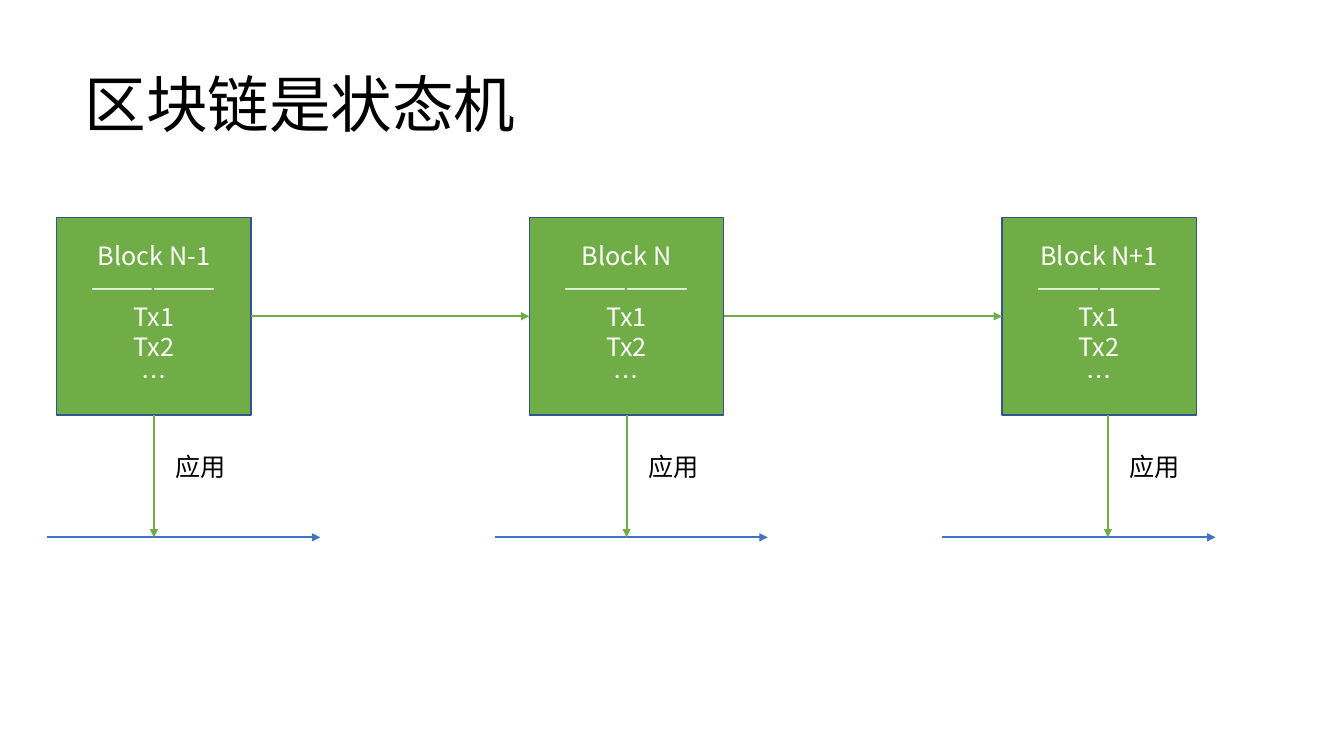
from lxml import etree
from pptx import Presentation
from pptx.dml.color import RGBColor
from pptx.enum.shapes import MSO_CONNECTOR, MSO_SHAPE
from pptx.enum.text import MSO_ANCHOR, PP_ALIGN
from pptx.oxml.ns import qn
from pptx.util import Cm, Pt

STRAIGHT = MSO_CONNECTOR.STRAIGHT
RECTANGLE = MSO_SHAPE.RECTANGLE
MIDDLE = MSO_ANCHOR.MIDDLE
LEFT, CENTER = PP_ALIGN.LEFT, PP_ALIGN.CENTER
SIDE_LEFT, SIDE_BOTTOM, SIDE_RIGHT = 1, 2, 3

BLACK = RGBColor(0x00, 0x00, 0x00)
WHITE = RGBColor(0xFF, 0xFF, 0xFF)
GREEN = RGBColor(0x70, 0xAD, 0x47)
BLUE = RGBColor(0x44, 0x72, 0xC4)
BLOCK_EDGE = RGBColor(0x32, 0x54, 0x91)
FONT = "Noto Sans CJK SC"

BLOCK_WIDTH, BLOCK_HEIGHT, BLOCK_PITCH = 4.9, 4.98, 11.91
STATE_WIDTH, STATE_PITCH = 6.88, 11.28
# Block name and how far its "apply" arrow stands right of the block's middle
BLOCKS = [("Block N-1", 0), ("Block N", 0), ("Block N+1", 0.22)]


def write_lines(shape, lines, size, color, alignment):
    shape.text_frame.text = "\n".join(lines)
    for paragraph in shape.text_frame.paragraphs:
        paragraph.alignment = alignment
        paragraph.font.size = Pt(size)
        paragraph.font.name = FONT
        paragraph.font.color.rgb = color
        properties = paragraph._p.pPr.find(qn("a:defRPr"))
        etree.SubElement(properties, qn("a:ea"), typeface=FONT)


def add_arrow(slide, start, end, color):
    """Draw an arrow between two (x, y) points given in centimetres."""
    arrow = slide.shapes.add_connector(STRAIGHT, *map(Cm, start + end))
    arrow.line.color.rgb = color
    arrow.line.width = Pt(1.5)
    etree.SubElement(arrow.line._get_or_add_ln(), qn("a:tailEnd"), type="triangle")
    etree.SubElement(arrow._element.spPr, qn("a:effectLst"))
    return arrow


def add_title(slide, left, top, width, height):
    title = slide.shapes.add_textbox(Cm(left), Cm(top), Cm(width), Cm(height))
    title.text_frame.word_wrap = True
    title.text_frame.vertical_anchor = MIDDLE
    write_lines(title, ["区块链是状态机"], 44, BLACK, LEFT)
    title.text_frame.paragraphs[0].line_spacing = 0.9


def add_block(slide, name, left, top):
    block = slide.shapes.add_shape(
        RECTANGLE, Cm(left), Cm(top), Cm(BLOCK_WIDTH), Cm(BLOCK_HEIGHT))
    block.shadow.inherit = False
    block.fill.solid()
    block.fill.fore_color.rgb = GREEN
    block.line.color.rgb = BLOCK_EDGE
    block.line.width = Pt(1)
    block.text_frame.vertical_anchor = MIDDLE
    write_lines(block, [name, "——————", "Tx1", "Tx2", "…"], 18, WHITE, CENTER)
    return block


def add_apply_step(slide, block, x, top, bottom, centred):
    """Draw the labelled arrow from a block down to its state line."""
    arrow = add_arrow(slide, (x, top), (x, bottom), GREEN)
    if centred:
        arrow.begin_connect(block, SIDE_BOTTOM)
    label = slide.shapes.add_textbox(Cm(x + 0.3), Cm(top + 0.79), Cm(1.8), Cm(1.02))
    label.text_frame.word_wrap = False
    write_lines(label, ["应用"], 18, BLACK, LEFT)


def add_chain(slide, left, top, height):
    """Draw the linked blocks, with the state line of each along the bottom."""
    bottom = top + height
    block_bottom = top + BLOCK_HEIGHT
    link_y = top + BLOCK_HEIGHT / 2
    previous = None
    for index, (name, offset) in enumerate(BLOCKS):
        state_left = left + index * STATE_PITCH
        add_arrow(slide, (state_left, bottom),
                  (state_left + STATE_WIDTH, bottom), BLUE)

        block_left = left + 0.24 + index * BLOCK_PITCH
        block = add_block(slide, name, block_left, top)
        if previous is not None:
            link_left = block_left - BLOCK_PITCH + BLOCK_WIDTH
            link = add_arrow(slide, (link_left, link_y), (block_left, link_y), GREEN)
            link.begin_connect(previous, SIDE_RIGHT)
            link.end_connect(block, SIDE_LEFT)
        add_apply_step(slide, block, block_left + BLOCK_WIDTH / 2 + offset,
                       block_bottom, bottom, offset == 0)
        previous = block


def main():
    presentation = Presentation()
    presentation.slide_width = Cm(33.87)
    presentation.slide_height = Cm(19.05)
    slide = presentation.slides.add_slide(presentation.slide_layouts[6])
    add_title(slide, 1.88, 0.86, 29.21, 3.68)
    add_chain(slide, 1.19, 5.48, 8.06)
    presentation.save("out.pptx")


if __name__ == "__main__":
    main()
